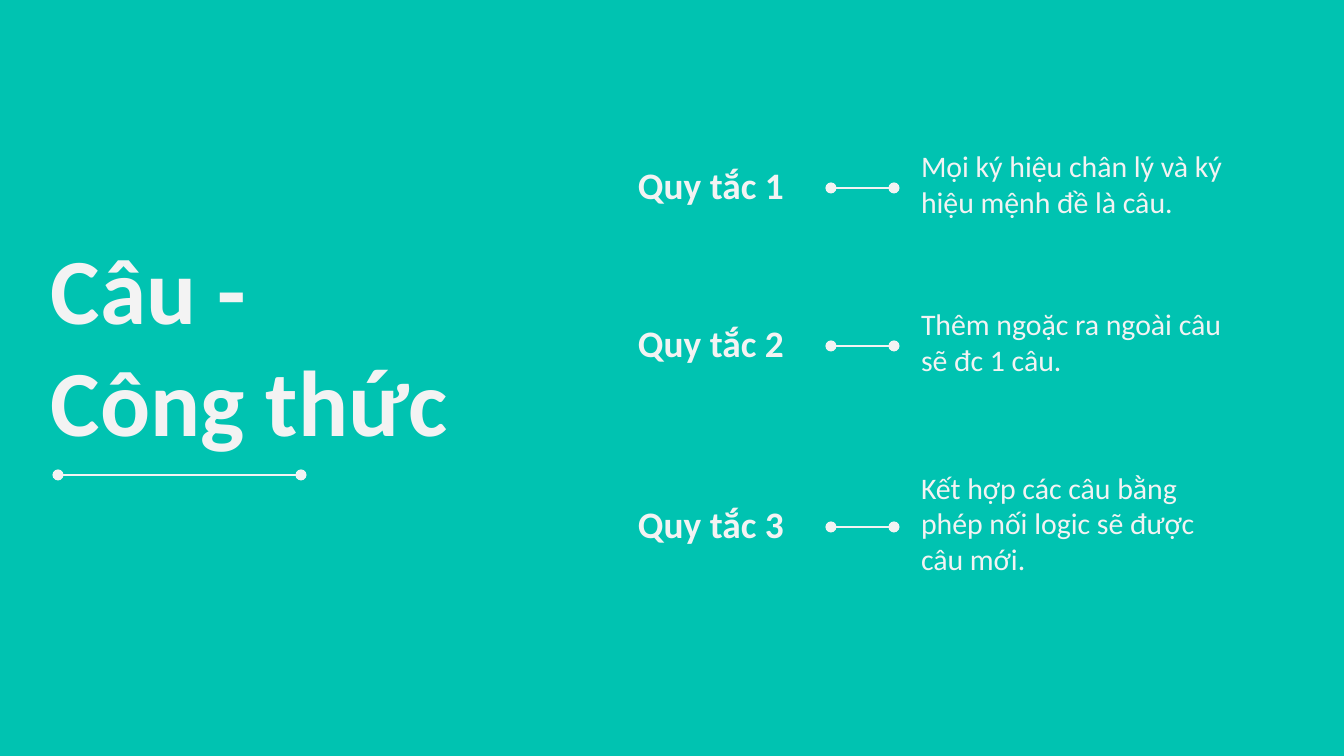
from lxml.etree import SubElement
from pptx import Presentation
from pptx.dml.color import RGBColor
from pptx.enum.shapes import MSO_CONNECTOR
from pptx.enum.text import MSO_ANCHOR, PP_ALIGN
from pptx.oxml.ns import qn
from pptx.util import Emu, Pt

PX = 914400 / 134.4
TEAL, PALE = "00C3B1", "F3F3F3"
RULES = [
    (113, "Quy tắc 1", "Mọi ký hiệu chân lý và ký hiệu mệnh đề là câu."),
    (271, "Quy tắc 2", "Thêm ngoặc ra ngoài câu sẽ đc 1 câu."),
    (452, "Quy tắc 3", "Kết hợp các câu bằng phép nối logic sẽ được câu mới."),
]


def px(length):
    return Emu(round(length * PX))


def color(hex_code):
    return RGBColor.from_string(hex_code)


def add_text(page, left, top, width, height, text, size, bold=False,
             inset=13, anchor=MSO_ANCHOR.MIDDLE, align=PP_ALIGN.LEFT, after=0):
    box = page.shapes.add_textbox(px(left), px(top), px(width), px(height))
    frame = box.text_frame
    frame.word_wrap = True
    frame.vertical_anchor = anchor
    frame.margin_left = frame.margin_right = px(inset)
    frame.margin_top = frame.margin_bottom = px(inset)
    para = frame.paragraphs[0]
    para.text = text
    para.alignment = align
    para.space_after = Pt(after)
    para.font.name = "Calibri"
    para.font.size = Pt(size)
    para.font.bold = bold
    para.font.color.rgb = color(PALE)


def add_dotted_end_line(page, start, end, y):
    line = page.shapes.add_connector(
        MSO_CONNECTOR.STRAIGHT, px(start), px(y), px(end), px(y))
    line.line.color.rgb = color(PALE)
    line.line.width = Pt(1.5)
    outline = line.line._get_or_add_ln()
    for tag in ("a:headEnd", "a:tailEnd"):
        SubElement(outline, qn(tag), type="oval")
    SubElement(line._element.spPr, qn("a:effectLst"))


def add_heading(page, left, top, width, height):
    add_text(page, left, top, width, height, "Câu -\vCông thức", 50,
             bold=True, anchor=MSO_ANCHOR.TOP)
    add_dotted_end_line(page, left + 20, left + 263, top + height - 1)


def add_rule(page, left, top, width, height, label, description):
    # Label, link and description from left to right
    add_text(page, left, top + 23, 226, 98, label, 20, bold=True,
             inset=0, align=PP_ALIGN.CENTER)
    add_dotted_end_line(page, left + 296, left + 233, top + 75)
    add_text(page, left + 310, top, width - 310, height, description, 16, after=16)


def main():
    deck = Presentation()
    deck.slide_width, deck.slide_height = px(1344), px(756)
    page = deck.slides.add_slide(deck.slide_layouts[6])
    page.background.fill.solid()
    page.background.fill.fore_color.rgb = color(TEAL)

    # Heading on the left, rules on the right
    add_heading(page, 38, 218, 434, 258)
    for top, label, description in RULES:
        add_rule(page, 598, top, 649, 142, label, description)

    deck.save("out.pptx")


if __name__ == "__main__":
    main()
